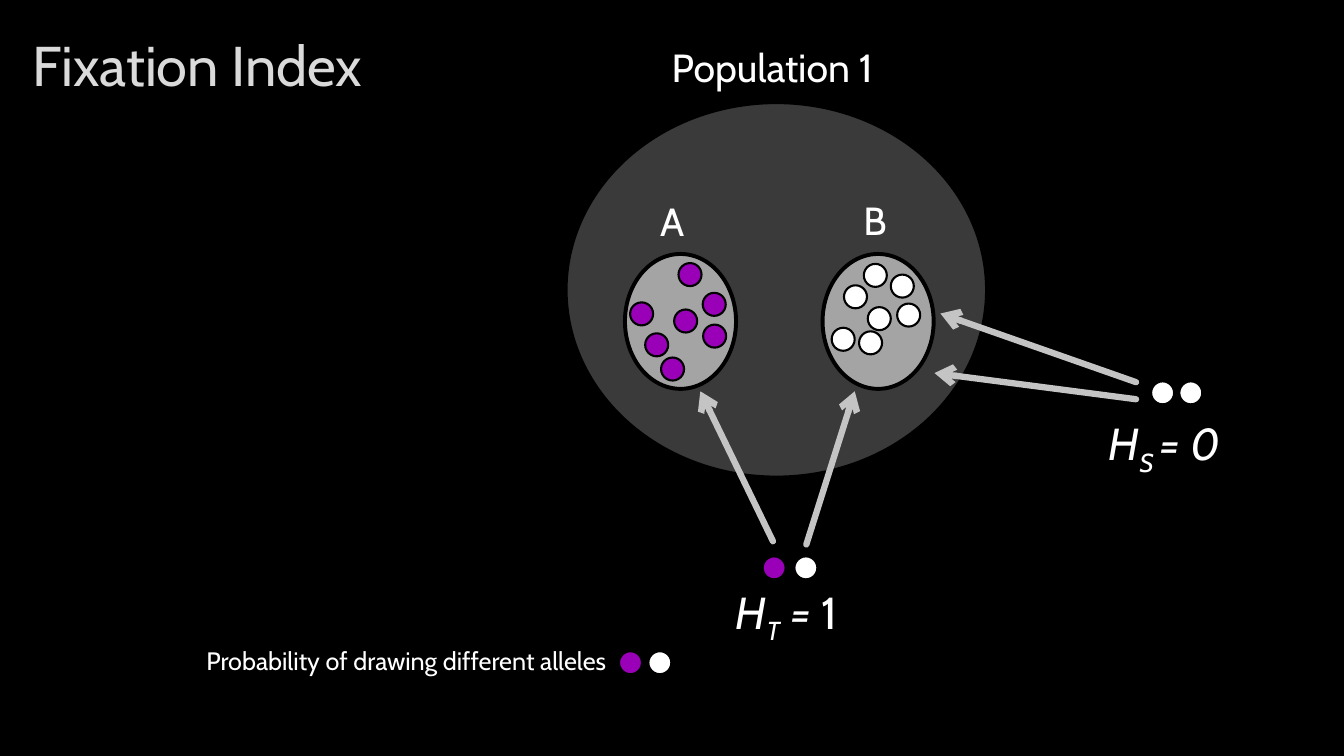
from lxml import etree
from pptx import Presentation
from pptx.dml.color import RGBColor
from pptx.enum.shapes import MSO_CONNECTOR, MSO_SHAPE
from pptx.enum.text import MSO_ANCHOR, PP_ALIGN
from pptx.oxml.ns import qn
from pptx.util import Cm, Pt

LEFT, CENTER = PP_ALIGN.LEFT, PP_ALIGN.CENTER
TOP, MIDDLE = MSO_ANCHOR.TOP, MSO_ANCHOR.MIDDLE
OVAL = MSO_SHAPE.OVAL
STRAIGHT = MSO_CONNECTOR.STRAIGHT

BLACK = RGBColor(0x00, 0x00, 0x00)
WHITE = RGBColor(0xFF, 0xFF, 0xFF)
PURPLE = RGBColor(0x99, 0x00, 0xB8)
GRAY = RGBColor(0x6D, 0x6D, 0x6D)
ARROW_GRAY = RGBColor(0xC4, 0xC4, 0xC4)
TITLE_GRAY = RGBColor(0xDA, 0xDA, 0xDA)

FONT = "Cabin"
DOT = 0.58

# Allele centres in each subpopulation, in cm
ALLELES_A = [(16.55, 8.69), (16.17, 7.91), (17.28, 8.09), (17.39, 6.92),
             (18, 7.67), (16.95, 9.3), (18.01, 8.47)]
ALLELES_B = [(22.06, 6.94), (21.25, 8.55), (22.16, 8.03), (21.56, 7.48),
             (22.9, 7.94), (22.74, 7.21), (21.94, 8.64)]


def add_run(p, text, size=28, color=WHITE, italic=False, baseline=0):
    r = p.add_run()
    r.text = text
    r.font.name = FONT
    r.font.size = Pt(size)
    r.font.color.rgb = color
    r.font.italic = italic
    if baseline:
        r.font._element.set("baseline", str(baseline * 1000))


class Diagram:
    def __init__(self, prs):
        self.s = prs.slides.add_slide(prs.slide_layouts[6])
        fill = self.s.background.fill
        fill.solid()
        fill.fore_color.rgb = BLACK

    def text(self, x, y, w, h, runs, align=LEFT, anchor=TOP):
        """Add a one-paragraph box; runs is a list of (text, format) pairs."""
        tf = self.s.shapes.add_textbox(Cm(x), Cm(y), Cm(w), Cm(h)).text_frame
        tf.word_wrap = True
        tf.vertical_anchor = anchor
        p = tf.paragraphs[0]
        p.alignment = align
        for text, style in runs:
            add_run(p, text, **style)

    def oval(self, x, y, w, h, color, line_width, alpha=100):
        sp = self.s.shapes.add_shape(OVAL, Cm(x), Cm(y), Cm(w), Cm(h))
        sp.shadow.inherit = False
        sp.fill.solid()
        sp.fill.fore_color.rgb = color
        sp.line.color.rgb = BLACK
        sp.line.width = Pt(line_width)
        if alpha < 100:
            clr = sp._element.spPr.find(qn("a:solidFill"))[0]
            etree.SubElement(clr, qn("a:alpha"), val=str(alpha * 1000))

    def allele(self, cx, cy, color):
        self.oval(cx - DOT / 2, cy - DOT / 2, DOT, DOT, color, 1.5)

    def arrow(self, tip, tail):
        x1, y1, x2, y2 = (Cm(v) for v in tip + tail)
        c = self.s.shapes.add_connector(STRAIGHT, x1, y1, x2, y2)
        c.line.color.rgb = ARROW_GRAY
        c.line.width = Pt(4.5)
        spPr = c._element.spPr
        ln = spPr.find(qn("a:ln"))
        ln.set("cap", "rnd")
        etree.SubElement(ln, qn("a:headEnd"), type="arrow")
        etree.SubElement(spPr, qn("a:effectLst"))


def main():
    prs = Presentation()
    prs.slide_width, prs.slide_height = Cm(33.87), Cm(19.05)
    d = Diagram(prs)

    d.oval(14.22, 2.54, 10.69, 9.53, GRAY, 4.8, alpha=54)
    d.text(0.58, 0.28, 28.75, 2.69,
           [("Fixation Index", dict(size=40, color=TITLE_GRAY))], anchor=MIDDLE)

    for x, alleles, color in ((15.75, ALLELES_A, PURPLE), (20.73, ALLELES_B, WHITE)):
        d.oval(x, 6.4, 2.8, 3.4, WHITE, 2.8, alpha=54)
        for cx, cy in alleles:
            d.allele(cx, cy, color)

    for label, x, y in (("Population 1", 16.36, 0.97), ("A", 13.84, 4.85), ("B", 18.95, 4.83)):
        d.text(x, y, 6.2, 1.45, [(label, {})], align=CENTER)

    for tip, tail in (((17.65, 9.86), (19.48, 13.64)), ((21.54, 9.86), (20.32, 13.72)),
                      ((23.55, 9.4), (28.63, 10.06)), ((23.7, 7.9), (28.63, 9.63))):
        d.arrow(tip, tail)

    # Drawn pairs and the legend pair
    for cx, cy, gap, first in ((19.51, 14.31, 0.8, PURPLE), (29.3, 9.9, 0.71, WHITE),
                               (15.89, 16.7, 0.74, PURPLE)):
        d.allele(cx, cy, first)
        d.allele(cx + gap, cy, WHITE)

    symbol = dict(size=32, italic=True)
    subscript = dict(symbol, baseline=-25)
    d.text(18.29, 14.61, 3.76, 1.63,
           [("H", symbol), ("T", subscript), (" = ", symbol), ("1", dict(size=32))])
    d.text(27.69, 10.36, 4.04, 1.63,
           [("H", symbol), ("S ", subscript), ("= 0", symbol)])
    d.text(4.95, 16.13, 17.63, 1.02,
           [("Probability of drawing different alleles", dict(size=18))])

    prs.save("out.pptx")


if __name__ == "__main__":
    main()
